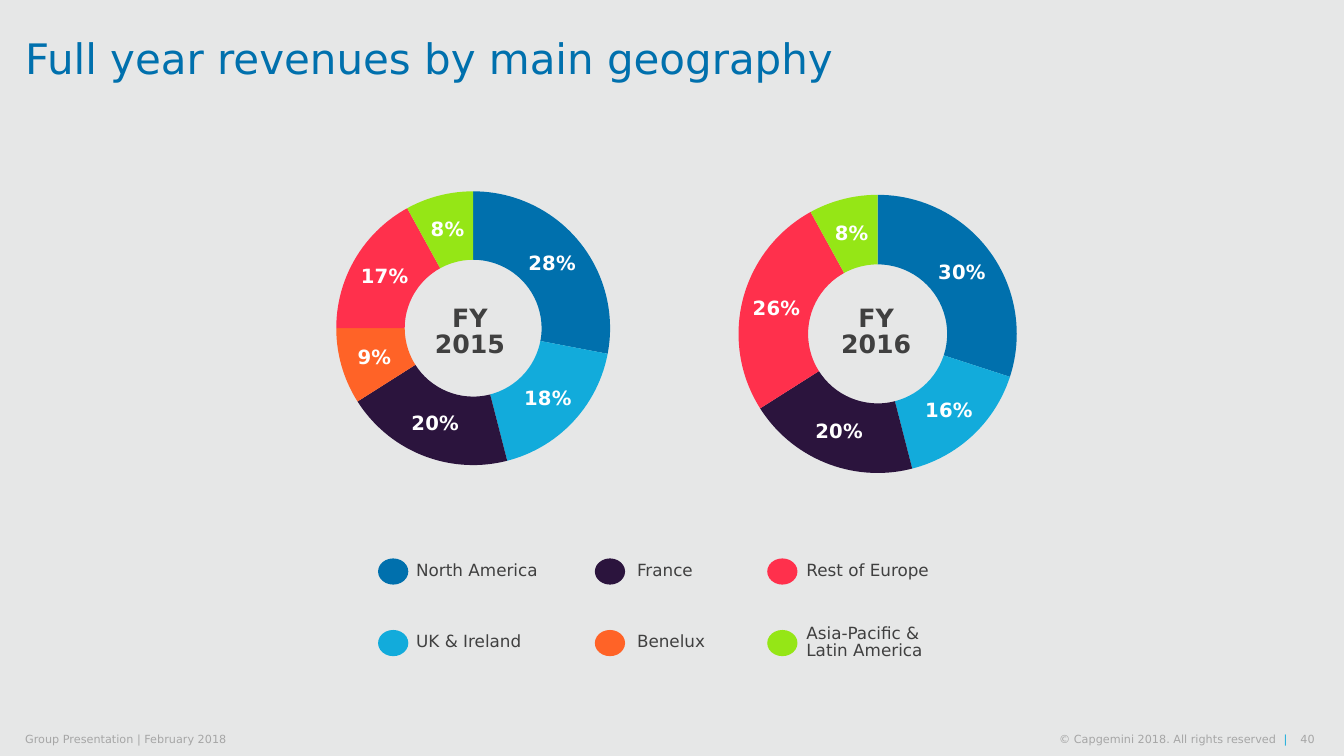
from lxml import etree
from pptx import Presentation
from pptx.chart.data import CategoryChartData
from pptx.dml.color import RGBColor
from pptx.enum import chart as charts, shapes, text
from pptx.oxml.ns import qn
from pptx.util import Inches, Pt

FONT = "DejaVu Sans"
BLUE, SKY, PURPLE = "0070AD", "12ABDB", "2B143D"
ORANGE, RED, GREEN = "FF6327", "FF304C", "95E616"
DARK, GREY, WHITE, BACKGROUND = "404040", "A6A6A6", "FFFFFF", "E6E7E7"

# Each column: dot left, label left, then (label, colour) from top to bottom
LEGEND = [
    (3.75, 4.03, [("North America", BLUE), ("UK & Ireland", SKY)]),
    (5.9, 6.22, [("France", PURPLE), ("Benelux", ORANGE)]),
    (7.61, 7.9, [("Rest of Europe", RED), ("Asia-Pacific & Latin America", GREEN)]),
]
LEGEND_CENTRE, LEGEND_STEP = 5.67, 0.71


def rgb(colour):
    return RGBColor.from_string(colour)


def style_font(font, size, colour, bold=False):
    font.name, font.size, font.bold = FONT, Pt(size), bold
    font.color.rgb = rgb(colour)


def set_frame(frame, inset_x=0, inset_y=0, wrap=True):
    frame.margin_left = frame.margin_right = Inches(inset_x)
    frame.margin_top = frame.margin_bottom = Inches(inset_y)
    frame.vertical_anchor = text.MSO_ANCHOR.MIDDLE
    frame.word_wrap = wrap


def add_title(slide, wording):
    title = slide.shapes.title
    title.left, title.top = Inches(0.25), Inches(0)
    title.width, title.height = Inches(12.17), Inches(1.21)
    set_frame(title.text_frame)
    paragraph = title.text_frame.paragraphs[0]
    paragraph.text = wording
    paragraph.alignment = text.PP_ALIGN.LEFT
    paragraph.line_spacing = 0.9
    style_font(paragraph.font, 30, BLUE)


def add_text(slide, wording, box, size, colour, align=text.PP_ALIGN.LEFT,
             bold=False, spacing=1.0, inset=(0, 0), wrap=True):
    shape = slide.shapes.add_textbox(*map(Inches, box))
    set_frame(shape.text_frame, *inset, wrap)
    paragraph = shape.text_frame.paragraphs[0]
    paragraph.text = wording
    paragraph.alignment = align
    paragraph.line_spacing = spacing
    style_font(paragraph.font, size, colour, bold)
    return paragraph


def add_legend(slide):
    for dot_left, label_left, entries in LEGEND:
        for row, (label, colour) in enumerate(entries):
            centre = LEGEND_CENTRE + row * LEGEND_STEP
            dot = slide.shapes.add_shape(
                shapes.MSO_SHAPE.OVAL, Inches(dot_left), Inches(centre - 0.13),
                Inches(0.3), Inches(0.26))
            dot.shadow.inherit = False
            dot.fill.solid()
            dot.fill.fore_color.rgb = rgb(colour)
            dot.line.fill.background()
            add_text(slide, label, (label_left, centre - 0.21, 1.6, 0.42),
                     12, DARK, spacing=0.8, inset=(0.1, 0.05))


def set_plot_layout(chart, layout):
    """Place the inner plot area by fractions x, y, w, h of the chart."""
    plot_area = chart._chartSpace.find(".//" + qn("c:plotArea"))
    for old in plot_area.findall(qn("c:layout")):
        plot_area.remove(old)
    layout_element = etree.Element(qn("c:layout"))
    manual = etree.SubElement(layout_element, qn("c:manualLayout"))
    settings = [("layoutTarget", "inner"), ("xMode", "edge"), ("yMode", "edge")]
    settings += [(name, str(value)) for name, value in zip("xywh", layout)]
    for name, value in settings:
        etree.SubElement(manual, qn("c:" + name)).set("val", value)
    plot_area.insert(0, layout_element)


def add_doughnut(slide, left, year, shares, layout):
    """Draw (share, colour) pairs as a ring with the year in its hole."""
    data = CategoryChartData(number_format="0%")
    data.categories = [str(number + 1) for number in range(len(shares))]
    data.add_series("Series 1", [share for share, _ in shares])
    chart = slide.shapes.add_chart(
        charts.XL_CHART_TYPE.DOUGHNUT, Inches(left), Inches(1.87),
        Inches(3.73), Inches(2.83), data).chart
    chart.has_legend = chart.has_title = False
    style_font(chart.font, 18, "000000")
    set_plot_layout(chart, layout)

    plot = chart.plots[0]
    plot.vary_by_categories = True
    plot.has_data_labels = True
    labels = plot.data_labels
    labels.show_value, labels.show_percentage = True, False
    labels.number_format, labels.number_format_is_linked = "0%", False
    style_font(labels.font, 14, WHITE, bold=True)
    for index, (_, colour) in enumerate(shares):
        point = plot.series[0].points[index].format
        point.fill.solid()
        point.fill.fore_color.rgb = rgb(colour)
        point.line.fill.background()

    add_text(slide, f"FY\v{year}", (left + 1.39, 2.99, 0.92, 0.62), 18, DARK,
             text.PP_ALIGN.CENTER, bold=True, spacing=0.85,
             inset=(0.1, 0.05), wrap=False)


def add_footer(slide):
    add_text(slide, "Group Presentation | February 2018",
             (0.25, 7.27, 5.16, 0.13), 8, GREY)
    rights = add_text(slide, "© Capgemini 2018. All rights reserved  ",
                      (9.86, 7.27, 2.91, 0.13), 8, GREY, text.PP_ALIGN.RIGHT)
    bar = rights.add_run()
    bar.text = "|"
    bar.font.color.rgb = rgb(SKY)
    add_text(slide, "40", (12.85, 7.27, 0.19, 0.13), 8, GREY,
             text.PP_ALIGN.RIGHT, wrap=False)


def main():
    presentation = Presentation()
    presentation.slide_width = Inches(13.33)
    presentation.slide_height = Inches(7.5)
    slide = presentation.slides.add_slide(presentation.slide_layouts[5])
    slide.background.fill.solid()
    slide.background.fill.fore_color.rgb = rgb(BACKGROUND)

    add_title(slide, "Full year revenues by main geography")
    add_doughnut(slide, 2.81, 2015,
                 [(0.28, BLUE), (0.18, SKY), (0.2, PURPLE),
                  (0.09, ORANGE), (0.17, RED), (0.08, GREEN)],
                 (0.14, 0.01, 0.73, 0.96))
    add_doughnut(slide, 6.84, 2016,
                 [(0.3, BLUE), (0.16, SKY), (0.2, PURPLE),
                  (0.26, RED), (0.08, GREEN)],
                 (0.13, 0.02, 0.74, 0.98))
    add_legend(slide)
    add_footer(slide)
    presentation.save("out.pptx")


if __name__ == "__main__":
    main()
